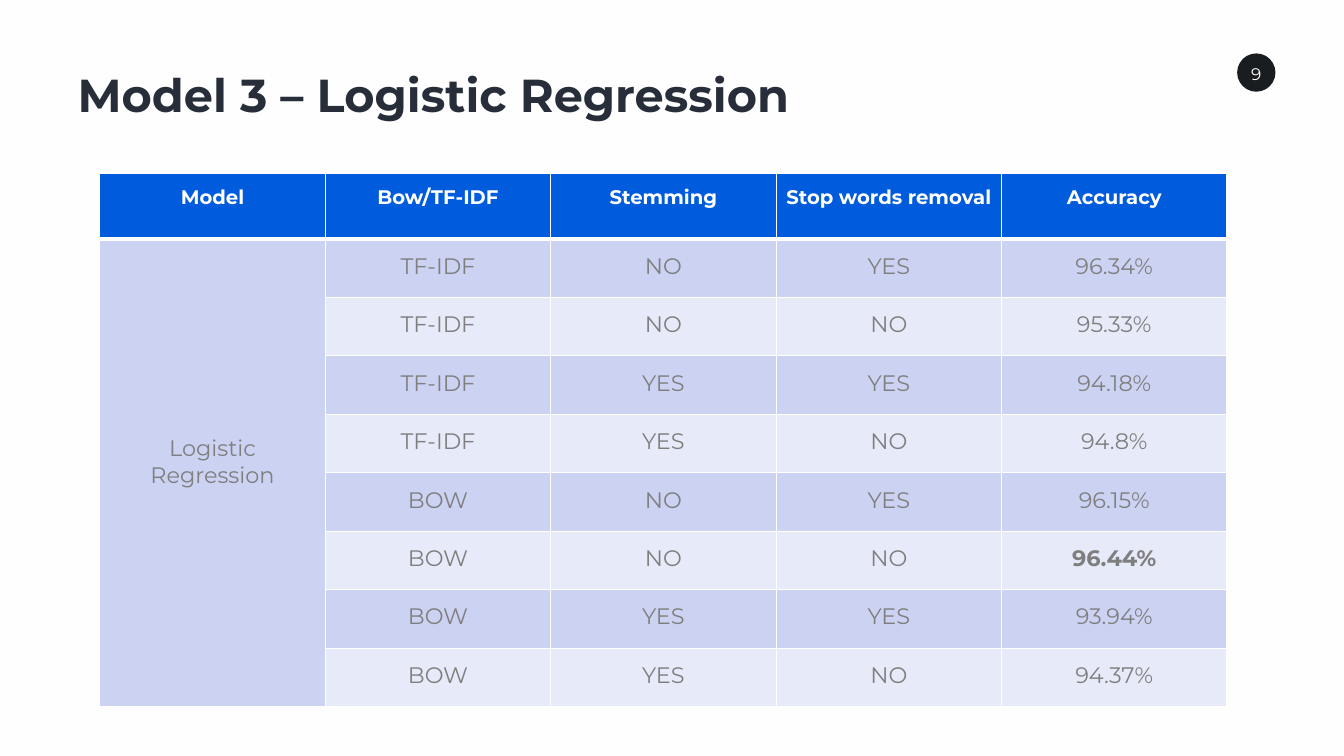
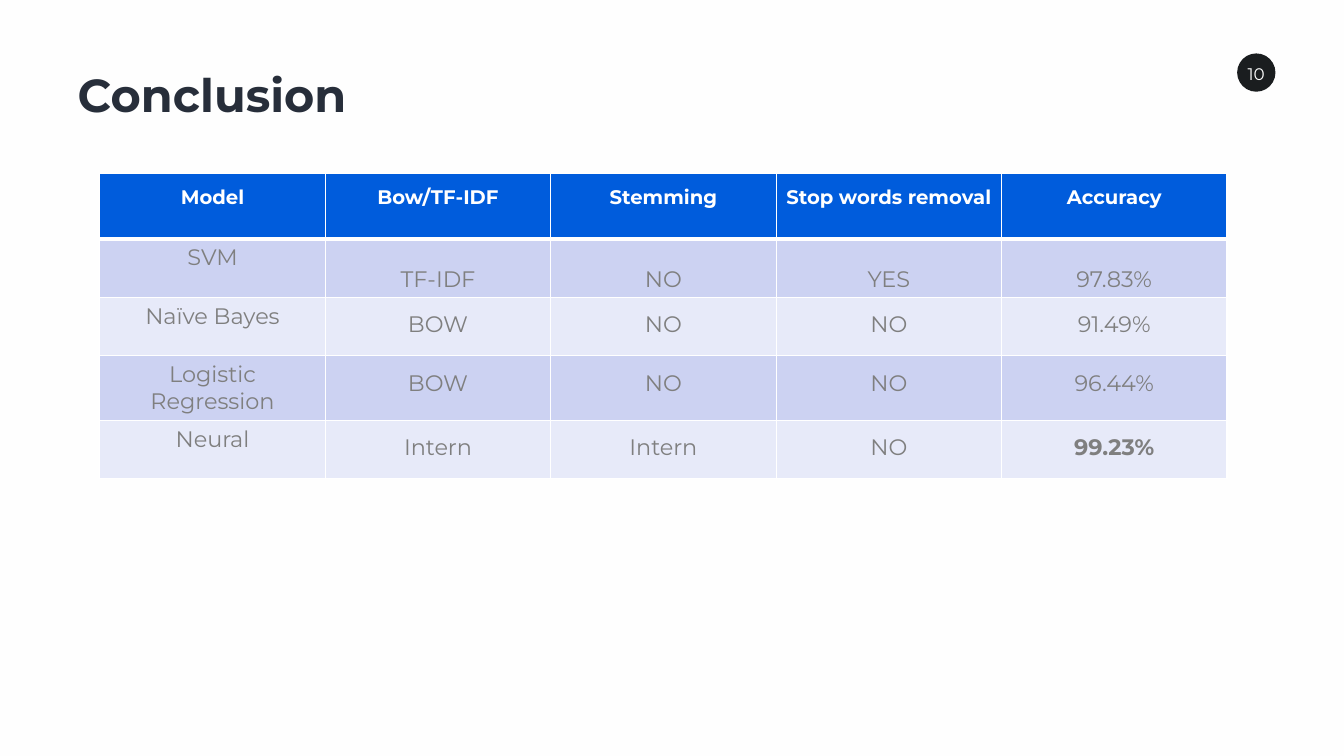
from dataclasses import dataclass

from lxml.etree import SubElement
from pptx import Presentation
from pptx.dml.color import RGBColor
from pptx.enum.shapes import MSO_SHAPE as Shape
from pptx.enum.text import MSO_ANCHOR as Anchor, MSO_AUTO_SIZE as AutoSize, PP_ALIGN as Align
from pptx.oxml.ns import qn
from pptx.util import Inches, Pt


@dataclass(frozen=True)
class Theme:
    font: str = "Montserrat"
    page: str = "FEFEFE"
    badge: str = "1A1D1F"
    title: str = "272E3A"
    header: str = "005CDC"
    header_text: str = "FFFFFF"
    body_text: str = "7F7F7F"
    border: str = "FFFFFF"
    bands: tuple = ("CCD2F2", "E7EAF9")
    title_size: int = 33
    header_size: int = 14
    body_size: int = 16
    number_size: int = 12


THEME = Theme()
HEADINGS = ("Model", "Bow/TF-IDF", "Stemming", "Stop words removal", "Accuracy")
SLIDES = [
    {
        "title": "Model 3 – Logistic Regression",
        "number": 9,
        "best": "96.44%",
        "merged": True,
        "leading": {},
        "results": [
            ("Logistic Regression", "TF-IDF", "NO", "YES", "96.34%"),
            ("", "TF-IDF", "NO", "NO", "95.33%"),
            ("", "TF-IDF", "YES", "YES", "94.18%"),
            ("", "TF-IDF", "YES", "NO", "94.8%"),
            ("", "BOW", "NO", "YES", "96.15%"),
            ("", "BOW", "NO", "NO", "96.44%"),
            ("", "BOW", "YES", "YES", "93.94%"),
            ("", "BOW", "YES", "NO", "94.37%"),
        ],
    },
    {
        "title": "Conclusion",
        "number": 10,
        "best": "99.23%",
        "merged": False,
        "leading": {1: 2.0},
        "results": [
            ("SVM", "TF-IDF", "NO", "YES", "97.83%"),
            ("Naïve Bayes", "BOW", "NO", "NO", "91.49%"),
            ("Logistic Regression", "BOW", "NO", "NO", "96.44%"),
            ("Neural", "Intern", "Intern", "NO", "99.23%"),
        ],
    },
]

TITLE_BOX = {"left": Inches(0.67), "top": Inches(0.61), "width": Inches(7.47), "height": Inches(0.66)}
BADGE_BOX = (Inches(12.27), Inches(0.53), Inches(0.38), Inches(0.38))
NUMBER_BOX = (Inches(12.26), Inches(0.53), Inches(0.4), Inches(0.4))
NUMBER_FRAME = {
    "word_wrap": False,
    "auto_size": AutoSize.NONE,
    "vertical_anchor": Anchor.MIDDLE,
    "margin_left": 0,
    "margin_right": 0,
    "margin_top": 0,
    "margin_bottom": 0,
}
TABLE_LEFT, TABLE_TOP, TABLE_WIDTH = Inches(0.99), Inches(1.72), Inches(11.18)
HEADER_HEIGHT, ROW_HEIGHT = Inches(0.65), Inches(0.58)
TIGHT = {"margin_left": Inches(0.07), "margin_right": Inches(0.07), "margin_top": 0, "margin_bottom": 0}
SPANNING = {"vertical_anchor": Anchor.MIDDLE, "margin_bottom": Inches(0.27)}


def apply(target, values):
    for name, value in values.items():
        setattr(target, name, value)


def paint(fill, color):
    fill.solid()
    fill.fore_color.rgb = RGBColor.from_string(color)


def write(frame, text, size, color, bold=False, align=Align.CENTER, leading=1.0):
    paragraph = frame.paragraphs[0]
    apply(paragraph, {"alignment": align, "line_spacing": leading})
    run = paragraph.add_run()
    run.text = text
    apply(run.font, {"name": THEME.font, "size": Pt(size), "bold": bold})
    run.font.color.rgb = RGBColor.from_string(color)


def border(cell, top, bottom):
    properties = cell._tc.get_or_add_tcPr()
    for place, (side, width) in enumerate({"L": 1, "R": 1, "T": top, "B": bottom}.items()):
        line = SubElement(properties, qn(f"a:ln{side}"), w=str(Pt(width)))
        SubElement(SubElement(line, qn("a:solidFill")), qn("a:srgbClr"), val=THEME.border)
        properties.insert(place, line)


def prepare_layout(deck):
    layout = deck.slide_layouts[5]
    paint(deck.slide_master.background.fill, THEME.page)
    apply(layout.placeholders[0], TITLE_BOX)
    return layout


def add_page_number(slide, number):
    badge = slide.shapes.add_shape(Shape.OVAL, *BADGE_BOX)
    badge.shadow.inherit = False
    paint(badge.fill, THEME.badge)
    badge.line.fill.background()
    frame = slide.shapes.add_textbox(*NUMBER_BOX).text_frame
    apply(frame, NUMBER_FRAME)
    write(frame, str(number), THEME.number_size, THEME.page)


def add_title(slide, text):
    frame = slide.shapes.title.text_frame
    apply(frame, {"auto_size": AutoSize.NONE, "word_wrap": True, "vertical_anchor": Anchor.TOP})
    write(frame, text, THEME.title_size, THEME.title, bold=True, align=Align.LEFT)


def add_results(slide, content):
    rows = [HEADINGS, *content["results"]]
    height = HEADER_HEIGHT + ROW_HEIGHT * len(content["results"])
    table = slide.shapes.add_table(
        len(rows), len(HEADINGS), TABLE_LEFT, TABLE_TOP, TABLE_WIDTH, height
    ).table
    for column in table.columns:
        column.width = TABLE_WIDTH // len(HEADINGS)
    for r, values in enumerate(rows):
        is_header = r == 0
        table.rows[r].height = HEADER_HEIGHT if is_header else ROW_HEIGHT
        size = THEME.header_size if is_header else THEME.body_size
        color = THEME.header_text if is_header else THEME.body_text
        band = THEME.header if is_header else THEME.bands[(r - 1) % 2]
        for c, value in enumerate(values):
            cell = table.cell(r, c)
            is_model = c == 0 and not is_header
            paint(cell.fill, band)
            border(cell, top=3 if r == 1 else 1, bottom=3 if is_header else 1)
            if not is_model:
                apply(cell, TIGHT)
            if value:
                leading = 1.0 if is_model else content["leading"].get(r, 1.5)
                bold = is_header or value == content["best"]
                write(cell.text_frame, value, size, color, bold, leading=leading)
    if content["merged"]:
        model = table.cell(1, 0)
        model.merge(table.cell(len(rows) - 1, 0))
        apply(model, SPANNING)


def main():
    deck = Presentation()
    apply(deck, {"slide_width": Inches(13.33), "slide_height": Inches(7.5)})
    layout = prepare_layout(deck)
    for content in SLIDES:
        slide = deck.slides.add_slide(layout)
        add_page_number(slide, content["number"])
        add_title(slide, content["title"])
        add_results(slide, content)
    deck.save("out.pptx")


if __name__ == "__main__":
    main()
